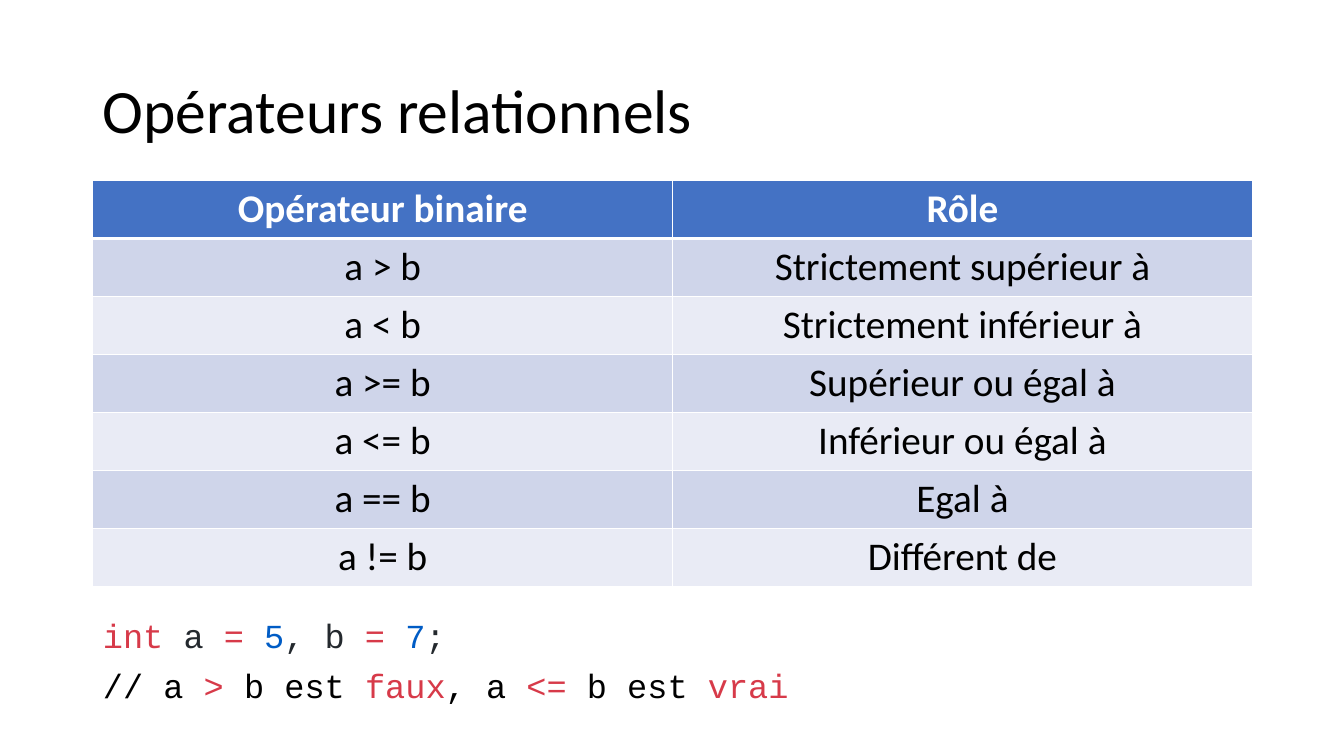
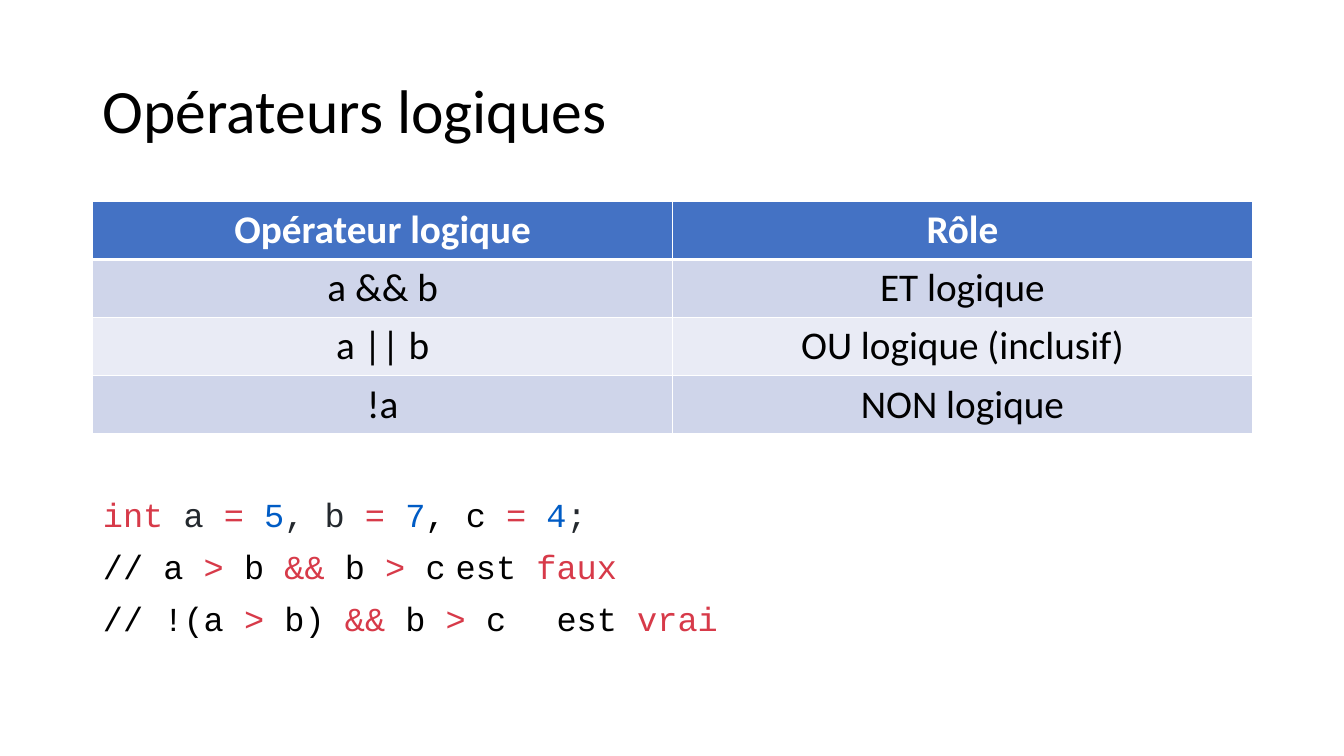
"""Build two slides on relational and logical operators."""
from dataclasses import dataclass

from lxml.etree import SubElement
from pptx import Presentation
from pptx.dml.color import RGBColor
from pptx.enum.text import MSO_ANCHOR, PP_ALIGN
from pptx.oxml.ns import qn
from pptx.util import Inches, Pt


@dataclass(frozen=True)
class Theme:
    sans: str = "Calibri"
    mono: str = "Courier New"
    title_size: int = 44
    table_size: int = 28
    code_size: int = 24
    text: str = "000000"
    white: str = "FFFFFF"
    header: str = "4472C4"
    bands: tuple = ("CFD5EA", "E9EBF5")
    keyword: str = "D73A49"
    number: str = "005CC5"
    code: str = "24292E"


THEME = Theme()
LEFT, WIDTH = 0.92, 11.5
ROW_HEIGHT = 0.57
RESULT_TAB = 4.6

DECLARATION = [
    ("int", "keyword"), (" a ", "code"), ("= ", "keyword"), ("5", "number"),
    (", b ", "code"), ("= ", "keyword"), ("7", "number"),
]

SLIDES = [
    {
        "title": "Opérateurs relationnels",
        "table_top": 1.79,
        "rows": [
            ("Opérateur binaire", "Rôle"),
            ("a > b", "Strictement supérieur à"),
            ("a < b", "Strictement inférieur à"),
            ("a >= b", "Supérieur ou égal à"),
            ("a <= b", "Inférieur ou égal à"),
            ("a == b", "Egal à"),
            ("a != b", "Différent de"),
        ],
        "code_top": 6.1,
        "code_gap": 9.5,
        "code": [
            DECLARATION + [(";", "code")],
            [("// a ", "text"), (">", "keyword"), (" b est ", "text"),
             ("faux", "keyword"), (", a ", "text"), ("<=", "keyword"),
             (" b est ", "text"), ("vrai", "keyword")],
        ],
    },
    {
        "title": "Opérateurs logiques",
        "table_top": 2,
        "rows": [
            ("Opérateur logique", "Rôle"),
            ("a && b", "ET logique"),
            ("a || b", "OU logique (inclusif)"),
            ("!a", "NON logique"),
        ],
        "code_top": 4.89,
        "code_gap": 11.5,
        "code": [
            DECLARATION + [(", c ", "text"), ("=", "keyword"),
                           (" 4", "number"), (";", "code")],
            [("// a ", "text"), (">", "keyword"), (" b ", "text"),
             ("&&", "keyword"), (" b ", "text"), (">", "keyword"),
             (" c\test ", "text"), ("faux", "keyword")],
            [("// !(a ", "text"), (">", "keyword"), (" b) ", "text"),
             ("&&", "keyword"), (" b ", "text"), (">", "keyword"),
             (" c\test ", "text"), ("vrai", "keyword")],
        ],
    },
]


def add_text(p, text, *, size, color=THEME.text, font=THEME.sans, bold=False):
    r = p.add_run()
    r.text = text
    r.font.name, r.font.size, r.font.bold = font, Pt(size), bold
    r.font.color.rgb = RGBColor.from_string(color)


def place(sp, top, height):
    sp.left, sp.top = Inches(LEFT), Inches(top)
    sp.width, sp.height = Inches(WIDTH), Inches(height)


def set_borders(cell, row):
    tc_pr = cell._tc.get_or_add_tcPr()
    widths = {"L": 1, "R": 1, "T": 3 if row == 1 else 1, "B": 3 if row == 0 else 1}
    for side, width in widths.items():
        line = SubElement(tc_pr, qn(f"a:ln{side}"), w=str(Pt(width)))
        fill = SubElement(line, qn("a:solidFill"))
        SubElement(fill, qn("a:srgbClr"), val=THEME.white)


def add_title(s, text):
    sp = s.shapes.title
    place(sp, 0.4, 1.45)
    tf = sp.text_frame
    tf.vertical_anchor = MSO_ANCHOR.MIDDLE
    p = tf.paragraphs[0]
    p.alignment, p.line_spacing = PP_ALIGN.LEFT, 0.9
    add_text(p, text, size=THEME.title_size)


def add_operator_table(s, rows, top):
    table = s.shapes.add_table(
        len(rows), len(rows[0]), Inches(LEFT), Inches(top),
        Inches(WIDTH), Inches(ROW_HEIGHT * len(rows))).table
    for i, row in enumerate(rows):
        head = i == 0
        fill = THEME.header if head else THEME.bands[(i - 1) % 2]
        for j, text in enumerate(row):
            cell = table.cell(i, j)
            set_borders(cell, i)
            cell.fill.solid()
            cell.fill.fore_color.rgb = RGBColor.from_string(fill)
            p = cell.text_frame.paragraphs[0]
            p.alignment = PP_ALIGN.CENTER
            add_text(p, text, size=THEME.table_size, bold=head,
                     color=THEME.white if head else THEME.text)


def add_code(s, lines, top, gap):
    sp = s.placeholders[1]
    place(sp, top, 0.5 * len(lines) + 0.1)
    tf = sp.text_frame
    tf.vertical_anchor = MSO_ANCHOR.TOP
    for i, line in enumerate(lines):
        p = tf.add_paragraph() if i else tf.paragraphs[0]
        p.line_spacing, p.space_before = 0.9, Pt(gap if i else 0)
        p_pr = p._p.get_or_add_pPr()
        p_pr.set("marL", "0")
        p_pr.set("indent", "0")
        SubElement(p_pr, qn("a:buNone"))
        tabs = SubElement(p_pr, qn("a:tabLst"))
        SubElement(tabs, qn("a:tab"), pos=str(Inches(RESULT_TAB)), algn="l")
        for text, role in line:
            add_text(p, text, size=THEME.code_size, font=THEME.mono,
                     color=getattr(THEME, role))


def main():
    prs = Presentation()
    prs.slide_width, prs.slide_height = Inches(13.33), Inches(7.5)
    for content in SLIDES:
        s = prs.slides.add_slide(prs.slide_layouts[1])
        add_title(s, content["title"])
        add_operator_table(s, content["rows"], content["table_top"])
        add_code(s, content["code"], content["code_top"], content["code_gap"])
    prs.save("out.pptx")


if __name__ == "__main__":
    main()
